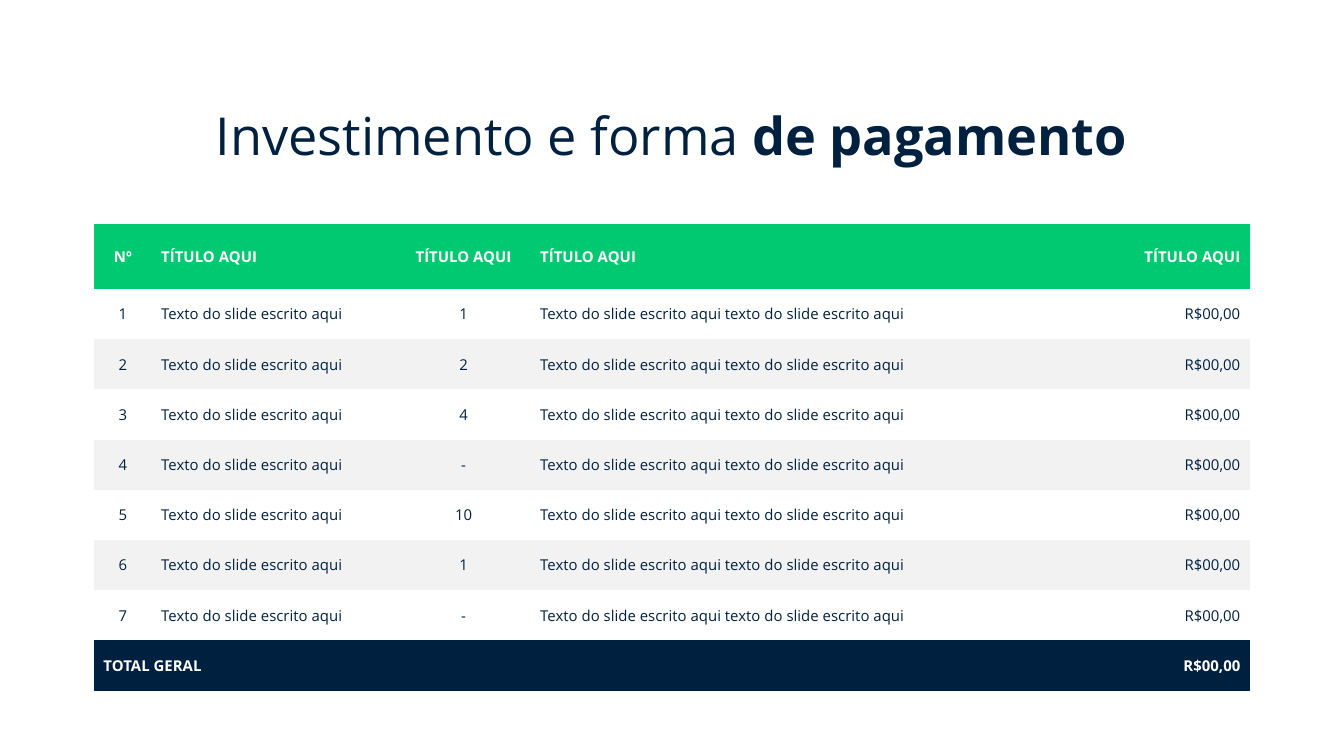
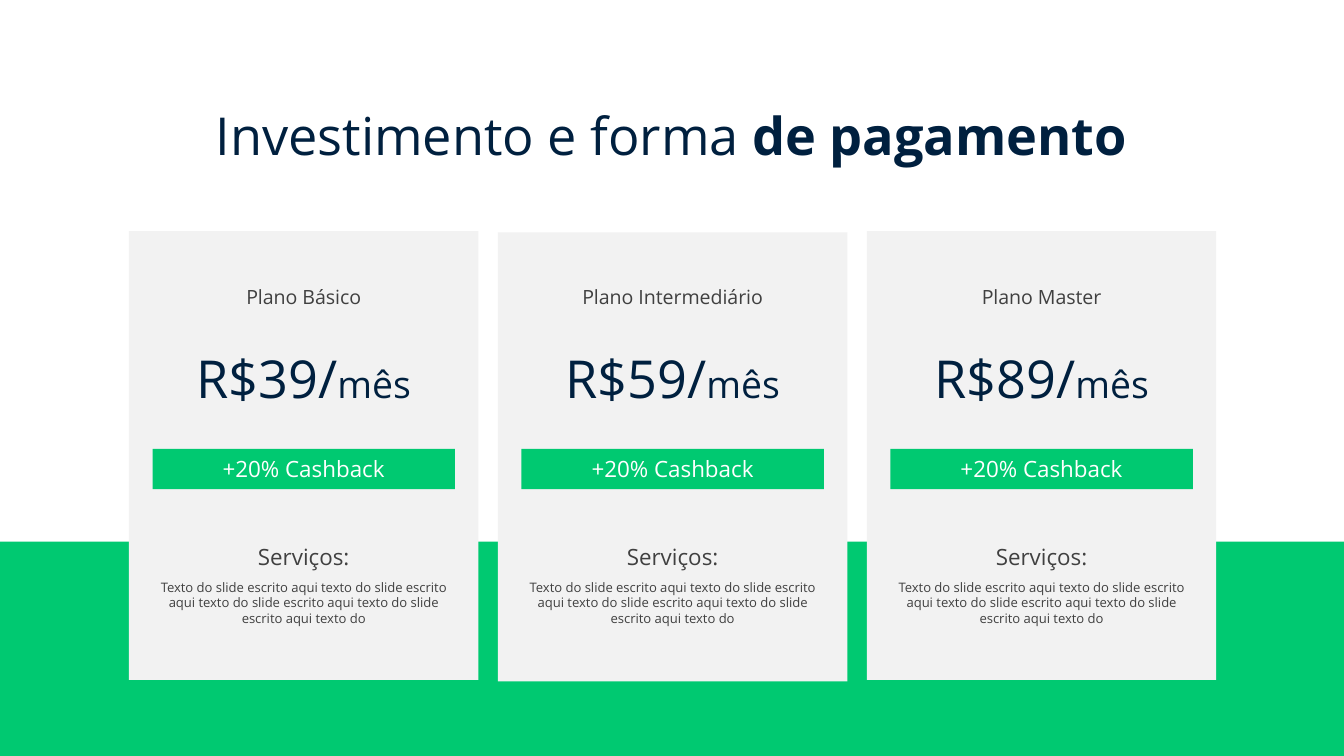
from pptx import Presentation
from pptx.dml.color import RGBColor
from pptx.enum.shapes import MSO_SHAPE
from pptx.enum.text import MSO_ANCHOR, MSO_AUTO_SIZE, PP_ALIGN
from pptx.util import Inches, Pt

LEFT, CENTER, RIGHT = PP_ALIGN.LEFT, PP_ALIGN.CENTER, PP_ALIGN.RIGHT
MIDDLE = MSO_ANCHOR.MIDDLE
GROW = MSO_AUTO_SIZE.SHAPE_TO_FIT_TEXT
RECTANGLE = MSO_SHAPE.RECTANGLE

FONT = "Open Sans"
GREEN, NAVY, WHITE = "00C971", "00203F", "FFFFFF"
LIGHT, DARK = "F2F2F2", "404040"
PLAIN_TABLE_STYLE = "{2D5ABB26-0587-4C30-8999-92F81FD0307C}"

SLIDE_WIDTH = 10
SLIDE_HEIGHT = SLIDE_WIDTH * 9 / 16
PHRASE = "Texto do slide escrito aqui"

COLUMN_WIDTHS = (0.43, 1.82, 1, 3.86, 1.49)
COLUMN_ALIGNS = (CENTER, LEFT, CENTER, LEFT, RIGHT)
HEADINGS = ["Nº"] + ["TÍTULO AQUI"] * 4
QUANTITIES = ("1", "2", "4", "-", "10", "1", "-")
AMOUNT = "R$00,00"

# Name, price and top of each card
PLANS = (("Plano Básico", "R$39/", 1.72),
         ("Plano Intermediário", "R$59/", 1.73),
         ("Plano Master", "R$89/", 1.72))
FIRST_CARD_LEFT, LAST_CARD_LEFT = 0.96, 6.45
CARD_WIDTH, CARD_HEIGHT = 2.6, 3.34
CARD_PITCH = (LAST_CARD_LEFT - FIRST_CARD_LEFT) / (len(PLANS) - 1)
PLAN_TEXT_TOP = 2.07


def rgb(value):
    return RGBColor.from_string(value)


def set_font(para, size, color, bold=False):
    para.font.name = FONT
    para.font.size = Pt(size)
    para.font.color.rgb = rgb(color)
    para.font.bold = bold


def add_rectangle(page, left, top, width, height, color):
    box = page.shapes.add_shape(RECTANGLE, Inches(left), Inches(top),
                                Inches(width), Inches(height))
    box.shadow.inherit = False
    box.fill.solid()
    box.fill.fore_color.rgb = rgb(color)
    box.line.fill.background()
    return box


def add_text(page, left, top, width, height, text, size, color):
    """Add a centred text box and return its paragraph."""
    box = page.shapes.add_textbox(Inches(left), Inches(top),
                                  Inches(width), Inches(height))
    box.text_frame.word_wrap = True
    box.text_frame.auto_size = GROW
    para = box.text_frame.paragraphs[0]
    para.alignment = CENTER
    para.add_run().text = text
    set_font(para, size, color)
    return para


def add_title(page):
    para = add_text(page, 1.02, 0.72, 7.95, 0.57,
                    "Investimento e forma ", 28, NAVY)
    span = para.add_run()
    span.text = "de pagamento"
    span.font.bold = True


def fill_row(table, row, texts, fill, color, bold=False):
    for column, text in enumerate(texts):
        cell = table.cell(row, column)
        cell.fill.solid()
        cell.fill.fore_color.rgb = rgb(fill)
        cell.vertical_anchor = MIDDLE
        cell.margin_left = cell.margin_right = Inches(0.07)
        cell.margin_top = cell.margin_bottom = Inches(0.04)
        para = cell.text_frame.paragraphs[0]
        para.text = text
        para.alignment = LEFT if cell.is_merge_origin else COLUMN_ALIGNS[column]
        set_font(para, 8, color, bold)


def add_price_table(page, left, top, width, height, header_height=0.48):
    row_count = len(QUANTITIES) + 2
    frame = page.shapes.add_table(row_count, len(COLUMN_WIDTHS), Inches(left),
                                  Inches(top), Inches(width), Inches(height))
    table = frame.table
    table.first_row = table.horz_banding = False
    style = frame._element.xpath(".//a:tableStyleId")[0]
    style.text = PLAIN_TABLE_STYLE

    for column, column_width in zip(table.columns, COLUMN_WIDTHS):
        column.width = Inches(column_width)
    row_height = (height - header_height) / (row_count - 1)
    for row in table.rows:
        row.height = Inches(row_height)
    table.rows[0].height = Inches(header_height)

    fill_row(table, 0, HEADINGS, GREEN, WHITE, bold=True)
    for number, quantity in enumerate(QUANTITIES, start=1):
        texts = (str(number), PHRASE, quantity,
                 f"{PHRASE} {PHRASE.lower()}", AMOUNT)
        fill_row(table, number, texts, WHITE if number % 2 else LIGHT, NAVY)
    total = row_count - 1
    table.cell(total, 0).merge(table.cell(total, 3))
    fill_row(table, total, ("TOTAL GERAL", "", "", "", AMOUNT),
             NAVY, WHITE, bold=True)


def add_plan_text(page, left, top, name, price):
    """Place the texts and the badge of one plan, centred on its card."""
    def add_line(offset, width, height, text, size, color):
        return add_text(page, left + (CARD_WIDTH - width) / 2, top + offset,
                        width, height, text, size, color)

    add_line(0, 2.09, 0.28, name, 10.5, DARK)
    span = add_line(0.46, 2.25, 0.57, price, 28, NAVY).add_run()
    span.text = "mês"
    span.font.size = Pt(20)

    badge_width = 2.25
    badge = add_rectangle(page, left + (CARD_WIDTH - badge_width) / 2,
                          top + 1.27, badge_width, 0.3, GREEN)
    badge.text_frame.vertical_anchor = MIDDLE
    para = badge.text_frame.paragraphs[0]
    para.text = "+20% Cashback"
    para.alignment = CENTER
    set_font(para, 12, WHITE)

    add_line(1.92, 2.25, 0.3, "Serviços:", 12, DARK)
    services = " ".join([PHRASE] + [PHRASE.lower()] * 3 + ["texto do"])
    add_line(2.19, 2.44, 0.45, services, 7, DARK)


def build_table_page(page):
    add_price_table(page, 0.7, 1.67, sum(COLUMN_WIDTHS), 3.47)
    add_title(page)


def build_plans_page(page):
    band_top = 4.03
    add_rectangle(page, 0, band_top, SLIDE_WIDTH, SLIDE_HEIGHT - band_top, GREEN)
    for index, (name, price, card_top) in enumerate(PLANS):
        left = FIRST_CARD_LEFT + index * CARD_PITCH
        add_rectangle(page, left, card_top, CARD_WIDTH, CARD_HEIGHT, LIGHT)
        add_plan_text(page, left, PLAN_TEXT_TOP, name, price)
    add_title(page)


def main():
    deck = Presentation()
    deck.slide_width = Inches(SLIDE_WIDTH)
    deck.slide_height = Inches(SLIDE_HEIGHT)
    blank = deck.slide_layouts[6]
    for build_page in (build_table_page, build_plans_page):
        build_page(deck.slides.add_slide(blank))
    deck.save("out.pptx")


if __name__ == "__main__":
    main()
